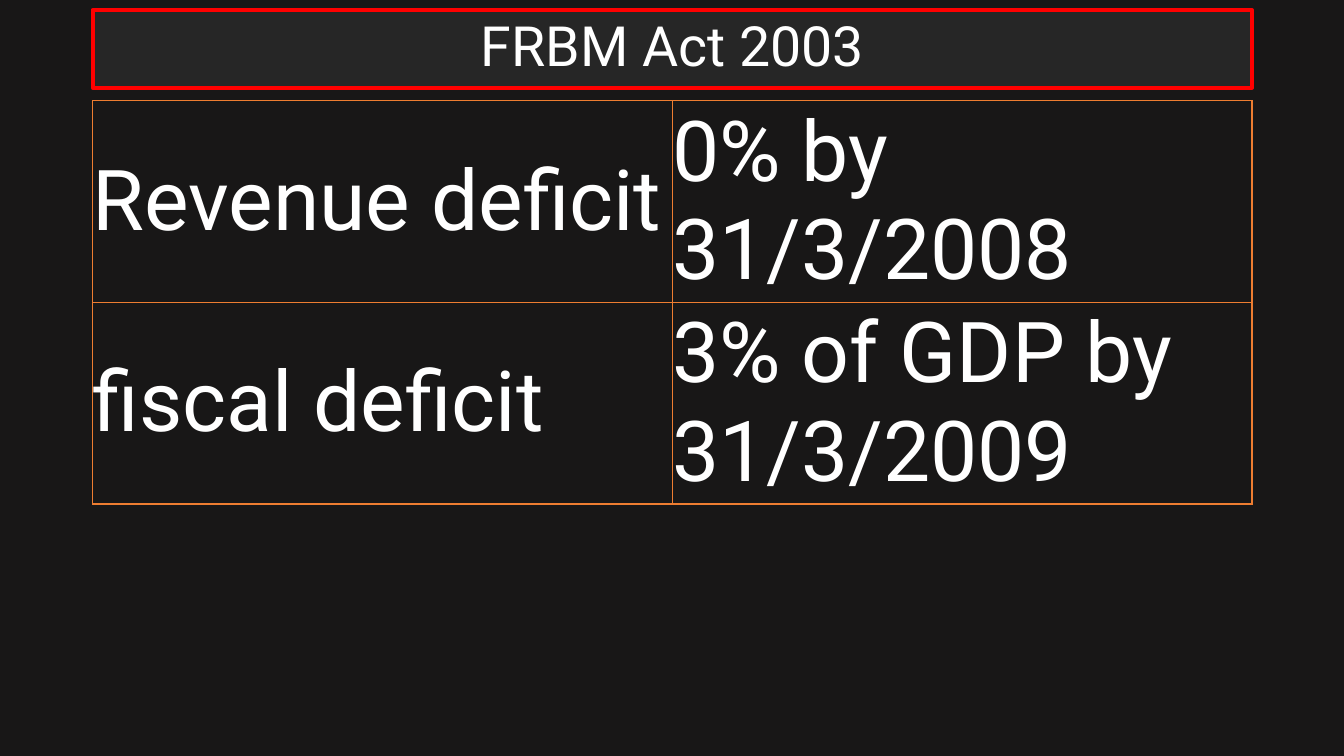
from dataclasses import dataclass

from lxml.etree import SubElement
from pptx import Presentation
from pptx.dml.color import RGBColor
from pptx.enum.text import MSO_ANCHOR, MSO_AUTO_SIZE, PP_ALIGN
from pptx.oxml import parse_xml
from pptx.oxml.ns import nsdecls, qn
from pptx.util import Pt


@dataclass(frozen=True)
class Theme:
    font: str = "Roboto"
    title_size: float = 39.6
    cell_size: float = 60
    background: str = "181717"
    title_fill: str = "262626"
    title_line: str = "FF0000"
    text: str = "FFFFFF"
    grid: str = "ED7D31"


THEME = Theme()
LEFT, WIDTH = 66.24, 828
DEFICIT_TARGETS = [
    ("Revenue deficit", "0% by 31/3/2008"),
    ("fiscal deficit", "3% of GDP by 31/3/2009"),
]


def color(value):
    return RGBColor.from_string(value)


def add_span(para, text, size):
    span = para.add_run()
    span.text = text
    span.font.name = THEME.font
    span.font.size = Pt(size)
    span.font.color.rgb = color(THEME.text)


def format_title(box, text):
    box.left, box.top, box.width, box.height = Pt(LEFT), Pt(7.2), Pt(WIDTH), Pt(55.44)
    # Barely rounded frame
    box.element.spPr.append(parse_xml(
        f'<a:prstGeom {nsdecls("a")} prst="roundRect"><a:avLst>'
        '<a:gd name="adj" fmla="val 0"/></a:avLst></a:prstGeom>'))
    box.fill.solid()
    box.fill.fore_color.rgb = color(THEME.title_fill)
    box.line.color.rgb = color(THEME.title_line)
    box.line.width = Pt(3)
    # Centred title text
    frame = box.text_frame
    frame.word_wrap = True
    frame.auto_size = MSO_AUTO_SIZE.NONE
    frame.vertical_anchor = MSO_ANCHOR.MIDDLE
    para = frame.paragraphs[0]
    para.alignment = PP_ALIGN.CENTER
    para.line_spacing = 0.9
    add_span(para, text, THEME.title_size)


def add_borders(cell):
    properties = cell._tc.get_or_add_tcPr()
    for position, side in enumerate(("lnL", "lnR", "lnT", "lnB")):
        border = SubElement(properties, qn(f"a:{side}"), w=str(Pt(1)))
        fill = SubElement(border, qn("a:solidFill"))
        SubElement(fill, qn("a:srgbClr"), val=THEME.grid)
        properties.insert(position, border)


def fill_cell(cell, text):
    cell.margin_left = cell.margin_right = cell.margin_top = cell.margin_bottom = 0
    cell.vertical_anchor = MSO_ANCHOR.MIDDLE
    cell.fill.background()
    add_borders(cell)
    add_span(cell.text_frame.paragraphs[0], text, THEME.cell_size)


def add_target_table(page, rows):
    table = page.shapes.add_table(
        len(rows), len(rows[0]), Pt(LEFT), Pt(72), Pt(WIDTH), Pt(144 * len(rows))).table
    table.first_row = table.horz_banding = False
    for row, texts in enumerate(rows):
        for column, text in enumerate(texts):
            fill_cell(table.cell(row, column), text)


def main():
    deck = Presentation()
    deck.slide_width, deck.slide_height = Pt(960), Pt(540)
    page = deck.slides.add_slide(deck.slide_layouts[5])
    page.background.fill.solid()
    page.background.fill.fore_color.rgb = color(THEME.background)
    format_title(page.shapes.title, "FRBM Act 2003")
    add_target_table(page, DEFICIT_TARGETS)
    deck.save("out.pptx")


if __name__ == "__main__":
    main()
